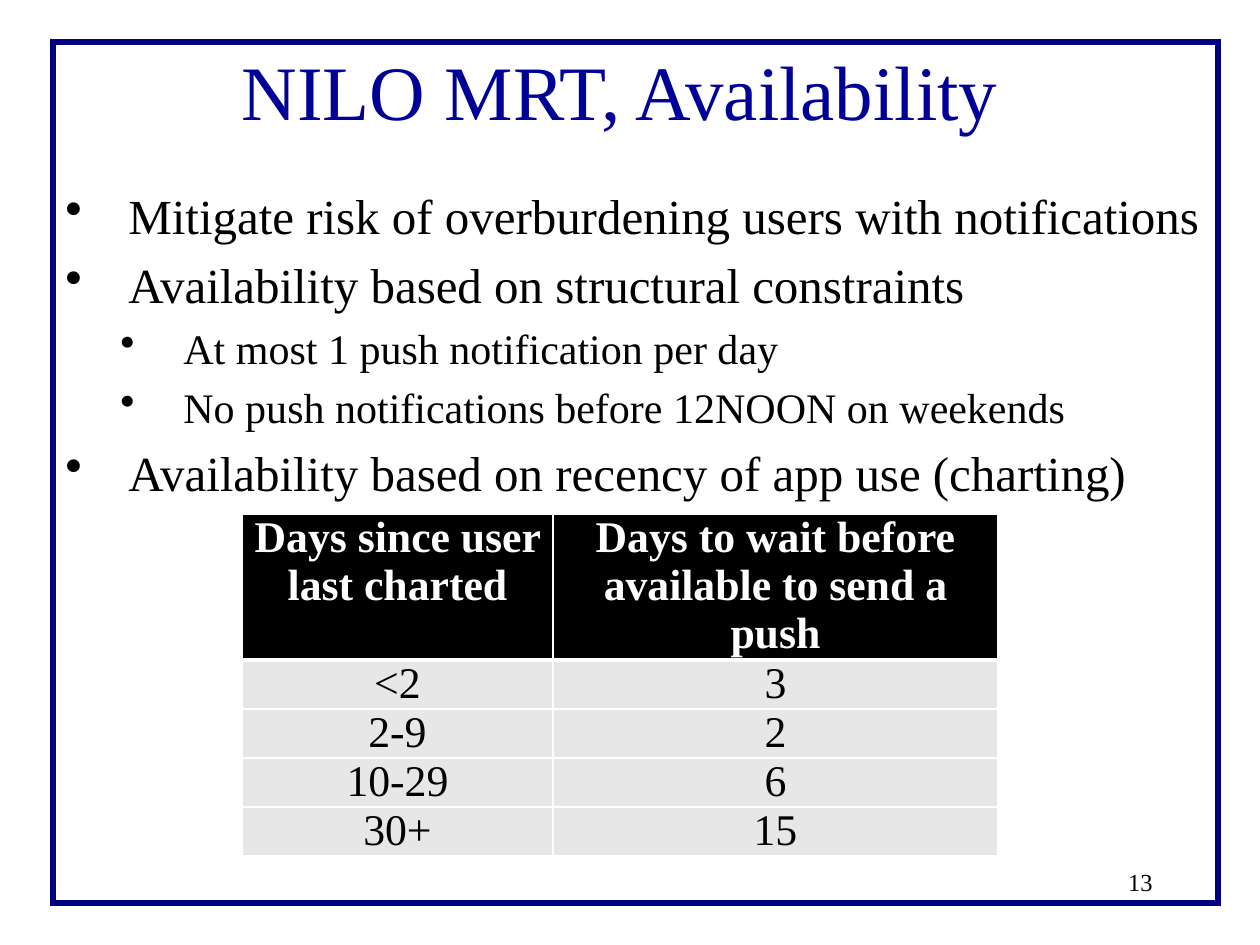
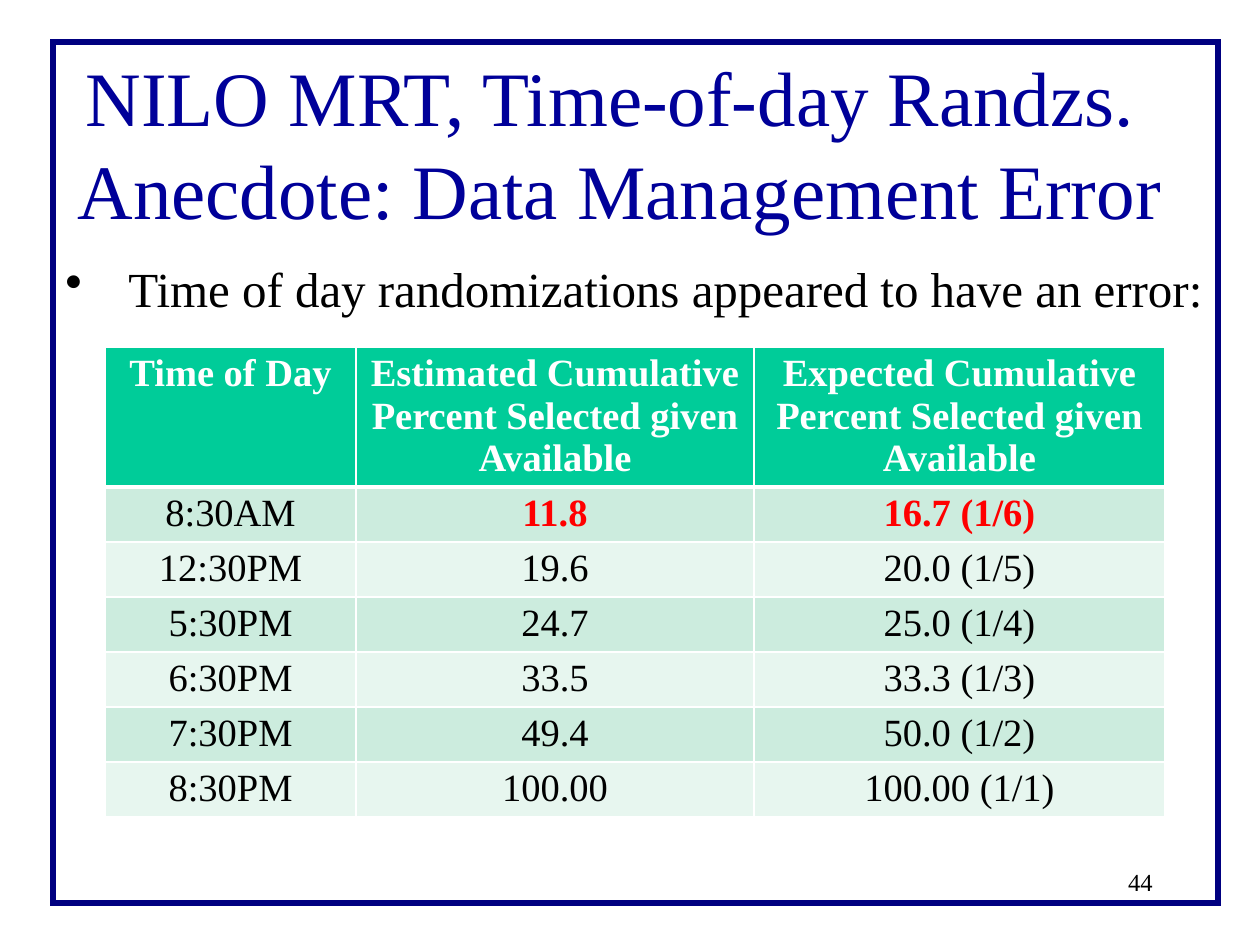
from lxml import etree
from pptx import Presentation
from pptx.dml.color import RGBColor
from pptx.enum.shapes import MSO_SHAPE
from pptx.enum.text import MSO_ANCHOR, PP_ALIGN
from pptx.oxml.ns import qn
from pptx.util import Pt

RECT = MSO_SHAPE.RECTANGLE
MIDDLE, TOP = MSO_ANCHOR.MIDDLE, MSO_ANCHOR.TOP
LEFT, CENTER, RIGHT = PP_ALIGN.LEFT, PP_ALIGN.CENTER, PP_ALIGN.RIGHT

BLACK = RGBColor(0x00, 0x00, 0x00)
WHITE = RGBColor(0xFF, 0xFF, 0xFF)
RED = RGBColor(0xFF, 0x00, 0x00)
BLUE = RGBColor(0x00, 0x00, 0x99)
NAVY = RGBColor(0x00, 0x00, 0x80)
GRAY = RGBColor(0xE7, 0xE7, 0xE7)
GREEN = RGBColor(0x00, 0xCC, 0x99)
MINT = RGBColor(0xCC, 0xEC, 0xDE)
PALE = RGBColor(0xE7, 0xF6, 0xEF)

FONT = "Times New Roman"
LEADING = 1.1
FRAME = (53, 42, 1165, 861)
LEVELS = {1: (28, 63, 6), 2: (24, 118, 5)}
HANG = 63

WAITS = [
    ("Days since user last charted", "Days to wait before available to send a push"),
    ("<2", "3"),
    ("2-9", "2"),
    ("10-29", "6"),
    ("30+", "15"),
]
TIMES = [
    ("Time of Day", "Estimated Cumulative Percent Selected given Available",
     "Expected Cumulative Percent Selected given Available"),
    ("8:30AM", "11.8", "16.7 (1/6)"),
    ("12:30PM", "19.6", "20.0 (1/5)"),
    ("5:30PM", "24.7", "25.0 (1/4)"),
    ("6:30PM", "33.5", "33.3 (1/3)"),
    ("7:30PM", "49.4", "50.0 (1/2)"),
    ("8:30PM", "100.00", "100.00 (1/1)"),
]


def px(n):
    """Turn pixels into EMU."""
    return round(n * 914400 / 126)


def style(para, size, color, align=LEFT, bold=False):
    """Format a paragraph and its runs."""
    para.alignment = align
    for run in para.runs:
        font = run.font
        font.name, font.size, font.bold = FONT, Pt(size), bold
        font.color.rgb = color


def add_text(slide, box, text, size, color, align, anchor=TOP):
    """Add a wrapped text box with one style."""
    frame = slide.shapes.add_textbox(*map(px, box)).text_frame
    frame.word_wrap = True
    frame.vertical_anchor = anchor
    frame.text = text
    for para in frame.paragraphs:
        style(para, size, color, align)
    return frame


def add_title(slide, box, text):
    """Add the centred slide title."""
    add_text(slide, box, text, 44, BLUE, CENTER, MIDDLE)


def add_body(slide, box, items):
    """Add a bullet list from (level, text) pairs."""
    text = "\n".join(line for _, line in items)
    frame = add_text(slide, box, text, 28, BLACK, LEFT)
    for i, (para, (level, _)) in enumerate(zip(frame.paragraphs, items)):
        size, indent, gap = LEVELS[level]
        props = para._p.get_or_add_pPr()
        props.set("marL", str(px(indent)))
        props.set("indent", str(px(-HANG)))
        etree.SubElement(props, qn("a:buChar")).set("char", "•")
        para.space_before = Pt(gap if i else 0)
        style(para, size, BLACK)


def add_frame(slide, number):
    """Add the page number and the navy frame."""
    add_text(slide, (903, 861, 262, 63), number, 14, BLACK, RIGHT)
    rect = slide.shapes.add_shape(RECT, *map(px, FRAME))
    rect.shadow.inherit = False
    rect.fill.background()
    rect.line.color.rgb = NAVY
    rect.line.width = Pt(3)
    line = rect._element.spPr.find(qn("a:ln"))
    etree.SubElement(line, qn("a:miter")).set("lim", "800000")


def add_edges(cell, widths):
    """Draw white cell borders, before the cell is filled."""
    props = cell._tc.get_or_add_tcPr()
    for side, width in widths.items():
        line = etree.SubElement(props, qn(f"a:ln{side}"), w=str(Pt(width)))
        fill = etree.SubElement(line, qn("a:solidFill"))
        etree.SubElement(fill, qn("a:srgbClr")).set("val", str(WHITE))


def add_grid(slide, spot, cols, heights, rows, size, head, bands, pad, marks=()):
    """Add a table with a dark head row and banded body rows."""
    top, rest = heights
    high = top + rest * (len(rows) - 1)
    box = (*spot, sum(cols), high)
    table = slide.shapes.add_table(len(rows), len(cols), *map(px, box)).table
    for col, width in zip(table.columns, cols):
        col.width = px(width)
    for r, row in enumerate(rows):
        table.rows[r].height = px(rest if r else top)
        for c, text in enumerate(row):
            cell = table.cell(r, c)
            add_edges(cell, {"L": 1, "R": 1, "T": 3 if r == 1 else 1,
                             "B": 1 if r else 3})
            cell.fill.solid()
            cell.fill.fore_color.rgb = bands[(r - 1) % len(bands)] if r else head
            cell.margin_left = cell.margin_right = px(pad[0])
            cell.margin_top = cell.margin_bottom = px(pad[1])
            cell.text = text
            mark = (r, c) in marks
            color = RED if mark else BLACK if r else WHITE
            para = cell.text_frame.paragraphs[0]
            para.line_spacing = Pt(size * LEADING)
            style(para, size, color, CENTER, mark or r == 0)


def add_waits(slide):
    """Build the availability slide."""
    add_title(slide, (53, 32, 1134, 116), "NILO MRT, Availability")
    add_body(slide, (53, 179, 1166, 724), [
        (1, "Mitigate risk of overburdening users with notifications"),
        (1, "Availability based on structural constraints"),
        (2, "At most 1 push notification per day"),
        (2, "No push notifications before 12NOON on weekends"),
        (1, "Availability based on recency of app use (charting)"),
    ])
    add_frame(slide, "13")
    add_grid(slide, (242, 514), (311, 445), (146, 49), WAITS, 25,
             BLACK, [GRAY], (9, 0))


def add_times(slide):
    """Build the time-of-day slide."""
    add_title(slide, (53, 32, 1134, 220),
              "NILO MRT, Time-of-day Randzs. \vAnecdote: Data Management Error")
    add_body(slide, (53, 252, 1166, 651), [
        (1, "Time of day randomizations appeared to have an error:"),
    ])
    add_frame(slide, "44")
    add_grid(slide, (105, 347), (251, 398, 411), (140, 55), TIMES, 22,
             GREEN, [MINT, PALE], (12, 6), {(1, 1), (1, 2)})


def main():
    """Build and save the deck."""
    deck = Presentation()
    deck.slide_width, deck.slide_height = px(1260), px(945)
    for build in (add_waits, add_times):
        build(deck.slides.add_slide(deck.slide_layouts[6]))
    deck.save("out.pptx")


if __name__ == "__main__":
    main()
